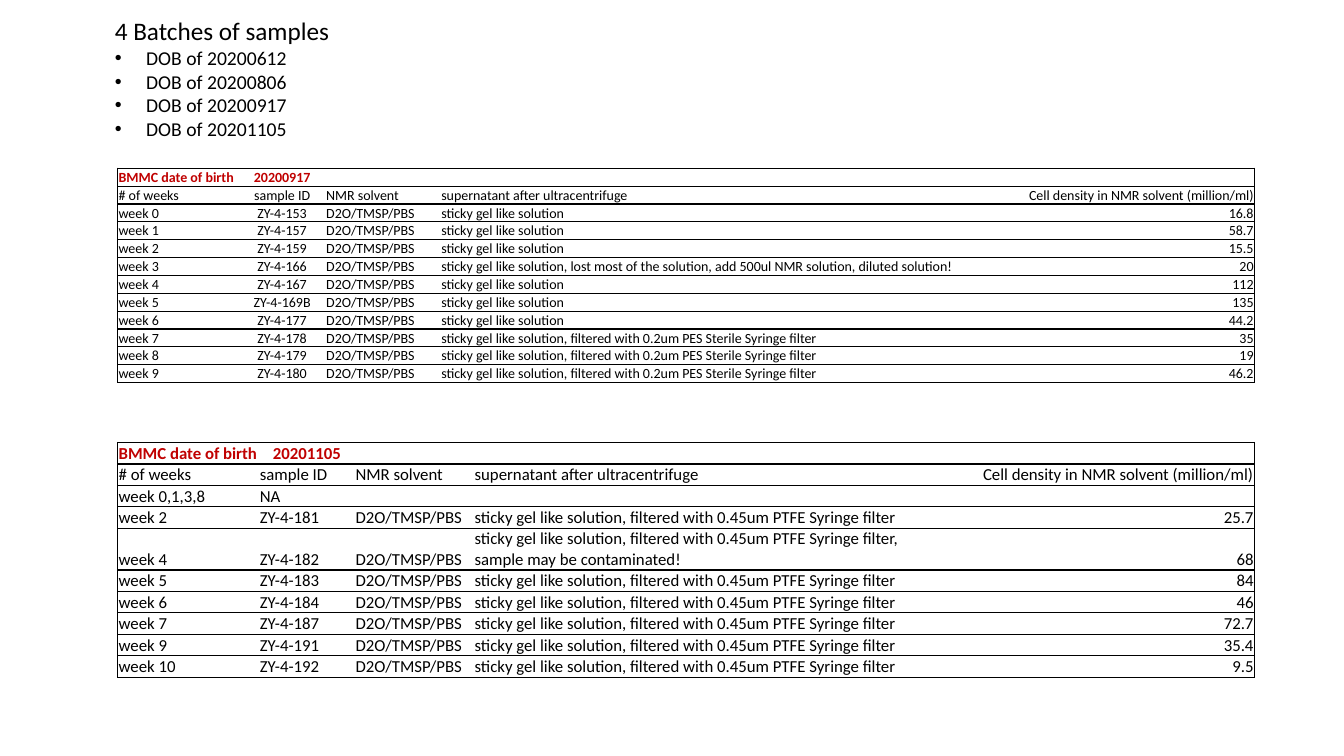
"""Builds a slide listing sample batches, with one table for each of two birth dates."""
from lxml.etree import SubElement
from pptx import Presentation
from pptx.dml.color import RGBColor
from pptx.enum.text import MSO_ANCHOR, MSO_AUTO_SIZE, PP_ALIGN
from pptx.oxml.ns import qn
from pptx.util import Cm, Pt

COLORS = {"text": "000000", "birth": "C00000", "border": "000000", "cell": "FFFFFF"}
FONT = "Calibri"


def add_run(paragraph, text, size, color="text", bold=False):
    run = paragraph.add_run()
    run.text = text
    run.font.name = FONT
    run.font.size = Pt(size)
    run.font.bold = bold
    run.font.color.rgb = RGBColor.from_string(COLORS[color])


def add_border(cell, side, visible):
    line = SubElement(cell._tc.get_or_add_tcPr(), qn(f"a:ln{side}"), w=str(Pt(1)))
    if visible:
        fill = SubElement(line, qn("a:solidFill"))
        SubElement(fill, qn("a:srgbClr"), val=COLORS["border"])
    else:
        SubElement(line, qn("a:noFill"))


prs = Presentation()
prs.slide_width, prs.slide_height = Cm(33.87), Cm(19.05)
slide = prs.slides.add_slide(prs.slide_layouts[1])

heading, births = slide.placeholders
for holder, top, height in ((heading, 0.25, 1.03), (births, 1.03, 2.66)):
    holder.left, holder.top, holder.width, holder.height = Cm(2.64), Cm(top), Cm(6.32), Cm(height)
    frame = holder.text_frame
    frame.auto_size = MSO_AUTO_SIZE.NONE
    frame.vertical_anchor = MSO_ANCHOR.TOP
    frame.word_wrap = True

title_line = heading.text_frame.paragraphs[0]
title_line.alignment = PP_ALIGN.LEFT
add_run(title_line, "4 Batches of samples", 18)

for i, date in enumerate(("20200612", "20200806", "20200917", "20201105")):
    item = births.text_frame.add_paragraph() if i else births.text_frame.paragraphs[0]
    item.space_before = Pt(0)
    properties = item._p.get_or_add_pPr()
    properties.set("marL", str(Cm(0.79)))
    properties.set("indent", str(Cm(-0.79)))
    add_run(item, f"DOB of {date}", 14)

HEADER = ("# of weeks", "sample ID", "NMR solvent", "supernatant after ultracentrifuge",
          "Cell density in NMR solvent (million/ml)")
SOLVENT = "D2O/TMSP/PBS"
GEL = "sticky gel like solution"
PES = f"{GEL}, filtered with 0.2um PES Sterile Syringe filter"
PTFE = f"{GEL}, filtered with 0.45um PTFE Syringe filter"
DILUTED = f"{GEL}, lost most of the solution, add 500ul NMR solution, diluted solution!"

september = [
    ("week 0", "ZY-4-153", SOLVENT, GEL, "16.8"),
    ("week 1", "ZY-4-157", SOLVENT, GEL, "58.7"),
    ("week 2", "ZY-4-159", SOLVENT, GEL, "15.5"),
    ("week 3", "ZY-4-166", SOLVENT, DILUTED, "20"),
    ("week 4", "ZY-4-167", SOLVENT, GEL, "112"),
    ("week 5", "ZY-4-169B", SOLVENT, GEL, "135"),
    ("week 6", "ZY-4-177", SOLVENT, GEL, "44.2"),
    ("week 7", "ZY-4-178", SOLVENT, PES, "35"),
    ("week 8", "ZY-4-179", SOLVENT, PES, "19"),
    ("week 9", "ZY-4-180", SOLVENT, PES, "46.2"),
]
november = [
    ("week 0,1,3,8", "NA", "", "", ""),
    ("week 2", "ZY-4-181", SOLVENT, PTFE, "25.7"),
    ("week 4", "ZY-4-182", SOLVENT, f"{PTFE}, sample may be contaminated!", "68"),
    ("week 5", "ZY-4-183", SOLVENT, PTFE, "84"),
    ("week 6", "ZY-4-184", SOLVENT, PTFE, "46"),
    ("week 7", "ZY-4-187", SOLVENT, PTFE, "72.7"),
    ("week 9", "ZY-4-191", SOLVENT, PTFE, "35.4"),
    ("week 10", "ZY-4-192", SOLVENT, PTFE, "9.5"),
]
batches = [
    ("20200917", september, 4.24, 0.45, 10, PP_ALIGN.CENTER, (3.05, 2.18, 2.9, 14.36, 6.15)),
    ("20201105", november, 11.15, 0.54, 12, PP_ALIGN.LEFT, (3.56, 2.41, 3, 12.02, 7.65)),
]

for birth, samples, top, row_height, size, id_alignment, widths in batches:
    rows = [("BMMC date of birth", birth, "", "", ""), HEADER, *samples]
    table = slide.shapes.add_table(len(rows), len(widths), Cm(2.97), Cm(top),
                                   Cm(sum(widths)), Cm(row_height * len(rows))).table
    table.first_row = table.horz_banding = False
    for column, width in zip(table.columns, widths):
        column.width = Cm(width)
    for r, values in enumerate(rows):
        table.rows[r].height = Cm(row_height)
        for c, value in enumerate(values):
            cell = table.cell(r, c)
            cell.margin_left = cell.margin_right = cell.margin_top = Cm(0.02)
            cell.margin_bottom = 0
            cell.vertical_anchor = MSO_ANCHOR.BOTTOM
            for side, visible in (("L", c == 0), ("R", c == len(widths) - 1),
                                  ("T", True), ("B", True)):
                add_border(cell, side, visible)
            cell.fill.solid()
            cell.fill.fore_color.rgb = RGBColor.from_string(COLORS["cell"])
            paragraph = cell.text_frame.paragraphs[0]
            if not value:
                SubElement(paragraph._p, qn("a:endParaRPr"), sz=str(size * 100))
                continue
            if c == 1:
                paragraph.alignment = PP_ALIGN.CENTER if r == 0 else id_alignment
            elif c == len(widths) - 1:
                paragraph.alignment = PP_ALIGN.RIGHT
            add_run(paragraph, value, size, "birth" if r == 0 else "text", r == 0)

prs.save("out.pptx")
